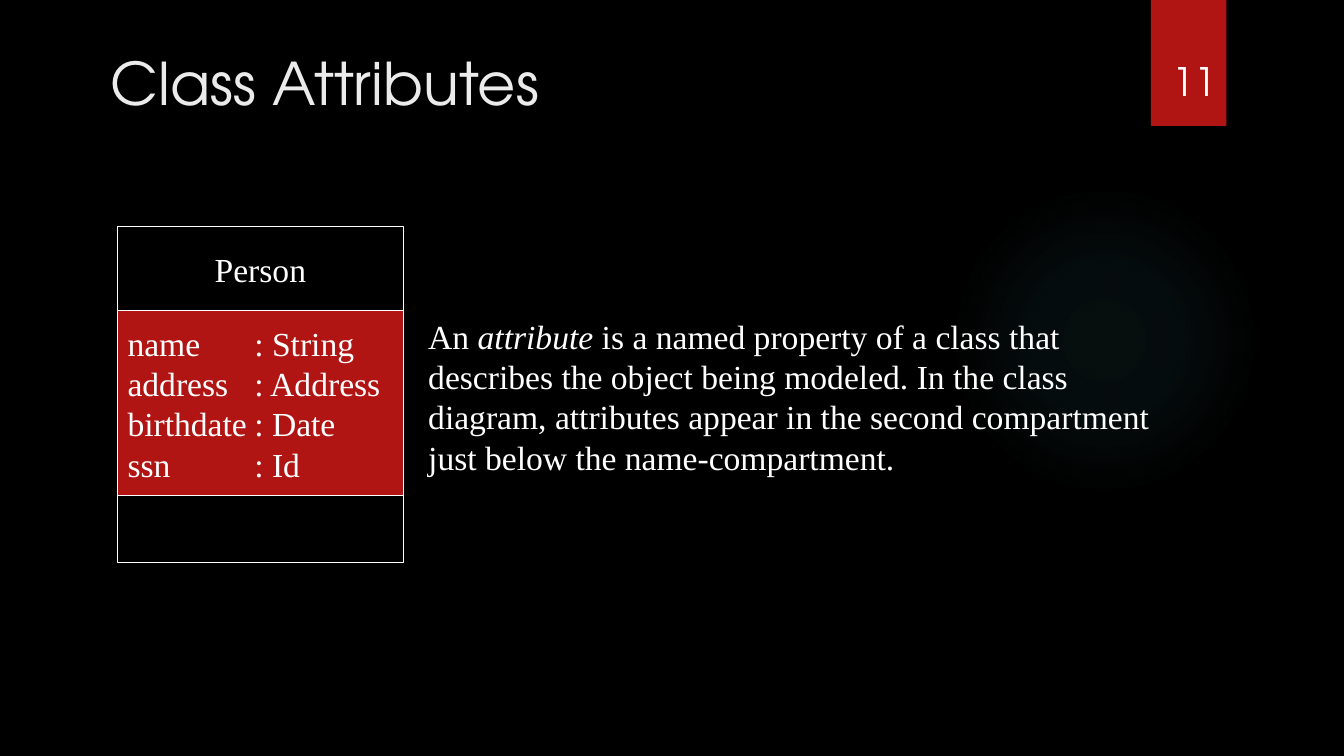
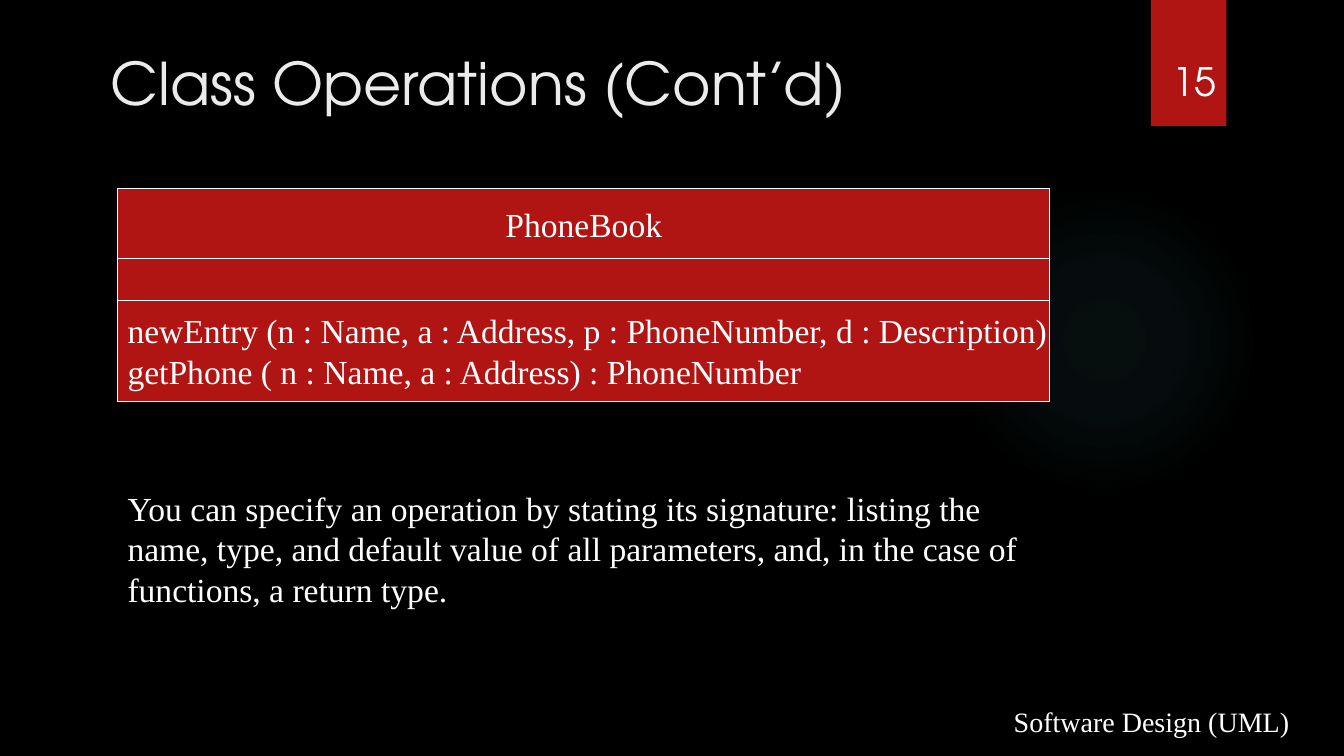
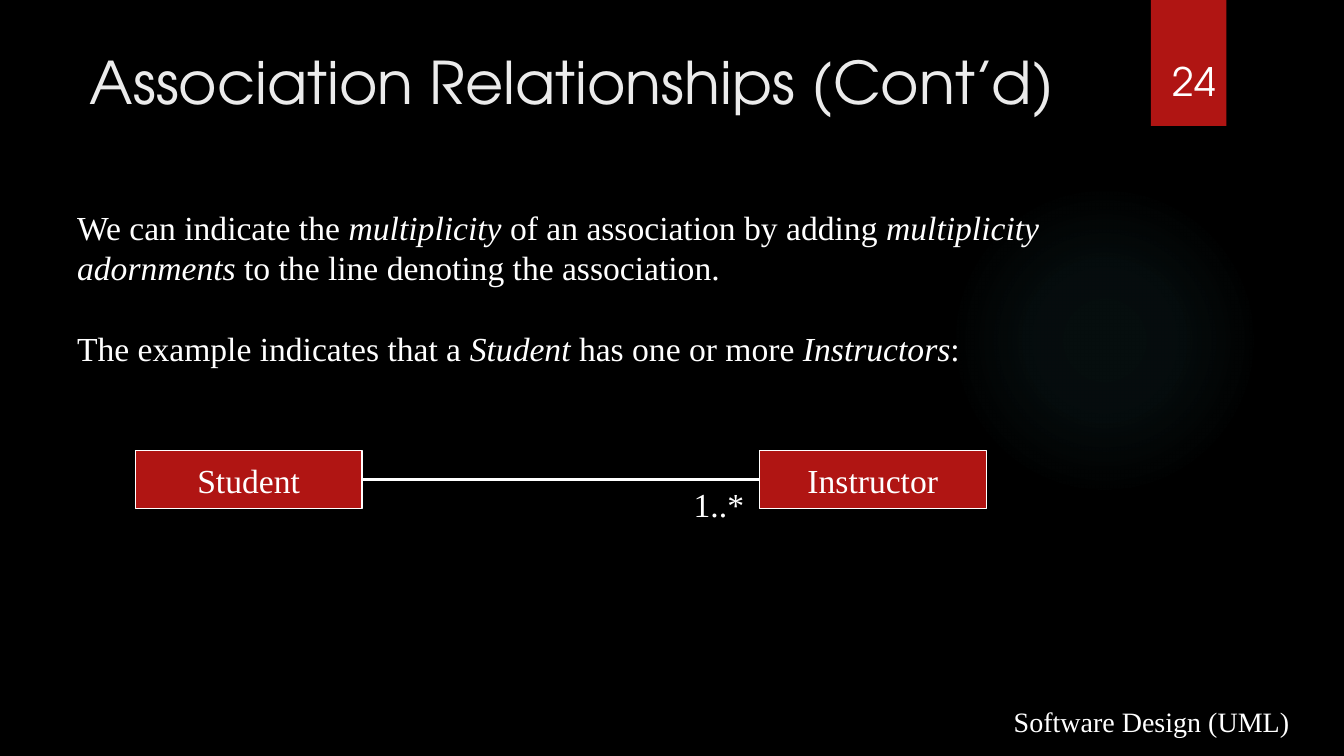
"""Build three UML lecture slides on a grid of twelfths of an inch."""
from lxml import etree
from pptx import Presentation
from pptx.dml.color import RGBColor
from pptx.enum.shapes import MSO_CONNECTOR, MSO_SHAPE
from pptx.enum.text import MSO_ANCHOR, PP_ALIGN
from pptx.oxml import parse_xml
from pptx.oxml.ns import qn
from pptx.util import Inches, Pt

RECTANGLE, OVAL = MSO_SHAPE.RECTANGLE, MSO_SHAPE.OVAL
STRAIGHT = MSO_CONNECTOR.STRAIGHT
LEFT, CENTER = PP_ALIGN.LEFT, PP_ALIGN.CENTER
TOP, MIDDLE, BOTTOM = MSO_ANCHOR.TOP, MSO_ANCHOR.MIDDLE, MSO_ANCHOR.BOTTOM
LEFT_SIDE, RIGHT_SIDE = 1, 3

BLACK, WHITE, RED, PALE, TEAL = "000000", "FFFFFF", "B01513", "EBEBEB", "50B9C1"
HEADING, BODY = "TeX Gyre Adventor", "Times New Roman"
COLUMNS, ROWS = 160, 90
GLOW_STOPS = ((0, 7), (36, 6), (69, 0))
DRAWING = "http://schemas.openxmlformats.org/drawingml/2006/main"


def color(code):
    return RGBColor.from_string(code)


def cells(*counts):
    return [Inches(count / 12) for count in counts]


class Lecture:
    """Style of the lecture and the page being filled."""

    def __init__(self):
        self.deck = Presentation()
        self.deck.slide_width, self.deck.slide_height = cells(COLUMNS, ROWS)
        self.page = None

    def new_page(self, title, number, title_at=(12, 5, 137, 7), footer=""):
        self.page = self.deck.slides.add_slide(self.deck.slide_layouts[6])
        background = self.page.background.fill
        background.solid()
        background.fore_color.rgb = color(BLACK)
        self.glow((113, 22, 37, 37))
        self.rectangle((137, 0, 9, 15), RED, outlined=False)
        self.text(title_at, [title], 42, HEADING, PALE)
        self.text((138.4, 6.2, 11, 9.5), [number], 28, HEADING)
        if footer:
            self.text((119.5, 84.4, 40.4, 4), [footer], 20, anchor=BOTTOM)

    def shape(self, kind, at):
        shape = self.page.shapes.add_shape(kind, *cells(*at))
        shape.shadow.inherit = False
        return shape

    def glow(self, at):
        circle = self.shape(OVAL, at)
        circle.line.fill.background()
        stops = "".join(
            f'<a:gs pos="{place * 1000}"><a:srgbClr val="{TEAL}">'
            f'<a:alpha val="{alpha * 1000}"/></a:srgbClr></a:gs>'
            for place, alpha in GLOW_STOPS)
        gradient = parse_xml(
            f'<a:gradFill xmlns:a="{DRAWING}"><a:gsLst>{stops}</a:gsLst>'
            '<a:path path="circle"><a:fillToRect l="50000" t="50000" '
            'r="50000" b="50000"/></a:path></a:gradFill>')
        circle._element.spPr.find(qn("a:prstGeom")).addnext(gradient)

    def rectangle(self, at, fill, lines=(), align=CENTER, outlined=True, tab=0):
        box = self.shape(RECTANGLE, at)
        box.fill.solid()
        box.fill.fore_color.rgb = color(fill)
        if outlined:
            box.line.color.rgb = color(WHITE)
            box.line.width = Pt(0.75)
        else:
            box.line.fill.background()
        if lines:
            box.text_frame.word_wrap = False
            self.add_lines(box.text_frame, lines, align=align, anchor=MIDDLE, tab=tab)
        return box

    def class_box(self, left, width, compartments, tab=0):
        for top, height, fill, lines, align in compartments:
            self.rectangle((left, top, width, height), fill, lines, align, tab=tab)

    def text(self, at, lines, size=24, font=BODY, ink=WHITE, anchor=TOP, gap=0):
        box = self.page.shapes.add_textbox(*cells(*at))
        box.text_frame.word_wrap = True
        self.add_lines(box.text_frame, lines, size, font, ink, LEFT, anchor, gap)

    def add_lines(self, frame, lines, size=24, font=BODY, ink=WHITE,
                  align=LEFT, anchor=TOP, gap=0, tab=0):
        frame.vertical_anchor = anchor
        for index, line in enumerate(lines):
            para = frame.add_paragraph() if index else frame.paragraphs[0]
            if tab:
                stops = etree.SubElement(para._p.get_or_add_pPr(), qn("a:tabLst"))
                stop = etree.SubElement(stops, qn("a:tab"))
                stop.set("pos", str(Inches(tab / 12)))
                stop.set("algn", "l")
            para.alignment = align
            if index and gap:
                para.space_before = Pt(gap)
            for part, words in enumerate(line.split("_")):
                span = para.add_run()
                span.text = words
                span.font.name = font
                span.font.size = Pt(size)
                span.font.italic = part % 2 == 1
                span.font.color.rgb = color(ink)

    def association(self, start, end):
        line = self.page.shapes.add_connector(STRAIGHT, 0, 0, 0, 0)
        line.begin_connect(start, RIGHT_SIDE)
        line.end_connect(end, LEFT_SIDE)
        line.line.color.rgb = color(WHITE)
        line.line.width = Pt(2.25)
        etree.SubElement(line._element.spPr, qn("a:effectLst"))


def main():
    lecture = Lecture()
    footer = "Software Design (UML)"

    lecture.new_page("Class Attributes", "11")
    attributes = ["name\t: String", "address\t: Address",
                  "birthdate\t: Date", "ssn\t: Id"]
    lecture.class_box(14, 34, [
        (27, 10, BLACK, ["Person"], CENTER),
        (37, 22, RED, attributes, LEFT),
        (59, 8, BLACK, [], LEFT)], tab=15.1)
    lecture.text((49.8, 37, 89.3, 20.6), [
        "An _attribute_ is a named property of a class that describes the object "
        "being modeled. In the class diagram, attributes appear in the second "
        "compartment just below the name-compartment."])

    lecture.new_page("Class Operations (Cont’d)", "15", footer=footer)
    operations = [
        "newEntry (n : Name, a : Address, p : PhoneNumber, d : Description)",
        "getPhone ( n : Name, a : Address) : PhoneNumber"]
    lecture.class_box(14, 111, [
        (22.5, 8.25, RED, ["PhoneBook"], CENTER),
        (30.75, 6.25, RED, [], LEFT),
        (35.75, 12, RED, operations, LEFT)])
    lecture.text((14, 57.5, 110, 15.7), [
        "You can specify an operation by stating its signature: listing the name, "
        "type, and default value of all parameters, and, in the case of functions, "
        "a return type."])

    lecture.new_page("Association Relationships (Cont’d)", "24",
                     title_at=(9.5, 4.9, 139, 13.7), footer=footer)
    lecture.text((8, 24, 136.2, 20.6), [
        "We can indicate the _multiplicity_ of an association by adding "
        "_multiplicity adornments_ to the line denoting the association.",
        "The example indicates that a _Student_ has one or more _Instructors_:"],
        gap=29)
    student, instructor = [
        lecture.rectangle((left, 53.6, 27, 7), RED, [name])
        for left, name in ((16.1, "Student"), (90.4, "Instructor"))]
    lecture.association(student, instructor)
    lecture.text((81.4, 57, 9, 6), ["1..*"])

    lecture.deck.save("out.pptx")


if __name__ == "__main__":
    main()
